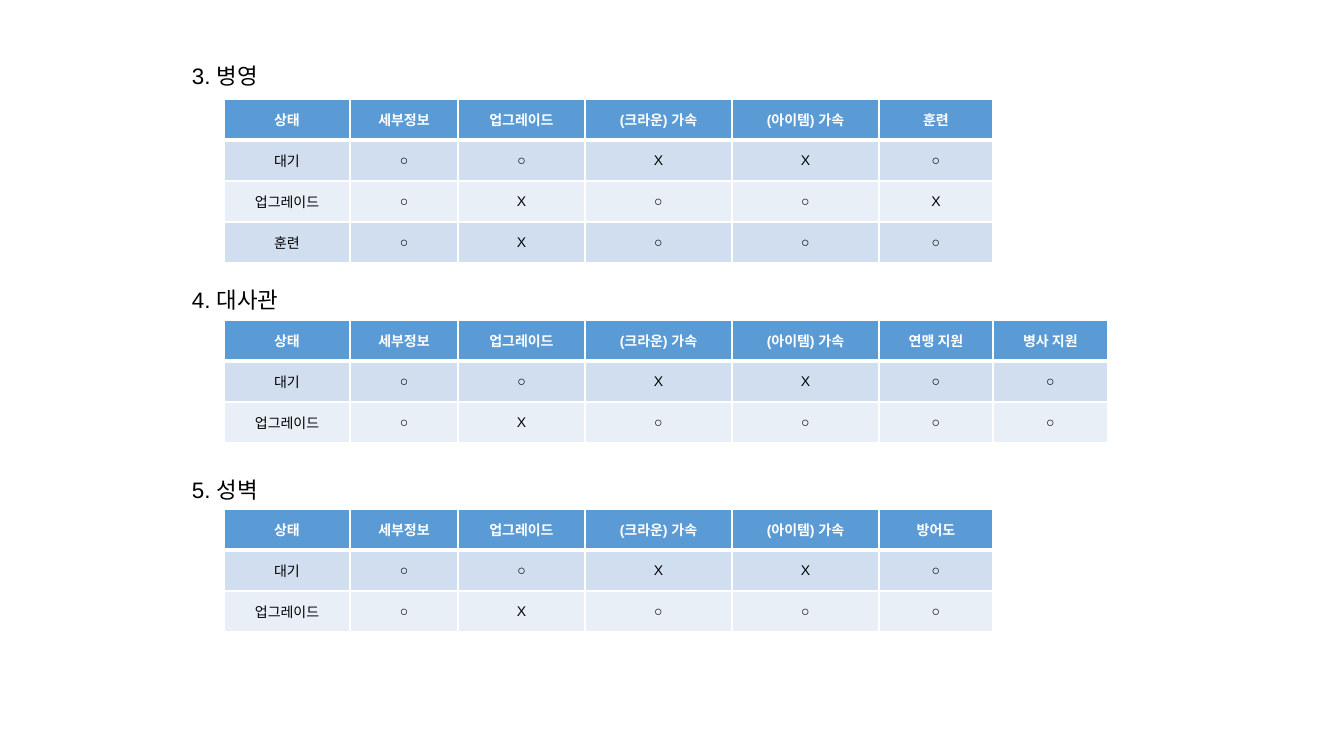
from lxml.etree import SubElement as Sub
from pptx import Presentation
from pptx.dml.color import RGBColor
from pptx.enum.text import MSO_ANCHOR as Anchor, PP_ALIGN as Align
from pptx.oxml.ns import qn
from pptx.util import Pt

UNIT = 914400 / 100.8


def px(n):
    return round(n * UNIT)


def paint(color):
    return RGBColor.from_string(color)


deck = Presentation()
deck.slide_width, deck.slide_height = px(1344), px(756)
slide = deck.slides.add_slide(deck.slide_layouts[6])

WIDTHS = [126, 108, 127, 147, 147, 114, 115]
ROW = 41
HEADS = ["상태", "세부정보", "업그레이드", "(크라운) 가속", "(아이템) 가속"]
FILLS = ["5B9BD5", "D0DEEF", "E9EFF7", "D0DEEF"]
PARTS = [
    ("3. 병영", 44, 142, 99, ["훈련"],
     [("대기", "○○XX○"), ("업그레이드", "○X○○X"), ("훈련", "○X○○○")]),
    ("4. 대사관", 268, 164, 320, ["연맹 지원", "병사 지원"],
     [("대기", "○○XX○○"), ("업그레이드", "○X○○○○")]),
    ("5. 성벽", 458, 142, 509, ["방어도"],
     [("대기", "○○XX○"), ("업그레이드", "○X○○○")]),
]

for title, top, width, start, extra, states in PARTS:
    box = slide.shapes.add_textbox(px(132), px(top), px(width), px(50))
    para = box.text_frame.paragraphs[0]
    para.text = title
    para.level = 1
    para.line_spacing = 1.5
    props = para._p.get_or_add_pPr()
    props.set("marL", str(px(50)))
    props.set("indent", "0")
    para.font.name = "Arial"
    para.font.size = Pt(16)
    para.font.color.rgb = paint("000000")

    rows = [HEADS + extra] + [[state, *marks] for state, marks in states]
    cols = WIDTHS[:len(rows[0])]
    frame = slide.shapes.add_table(len(rows), len(cols), px(224), px(start),
                                   px(sum(cols)), px(ROW * len(rows)))
    table = frame.table
    for col, wide in zip(table.columns, cols):
        col.width = px(wide)
    for r, texts in enumerate(rows):
        table.rows[r].height = px(ROW)
        for c, text in enumerate(texts):
            cell = table.cell(r, c)
            cell.vertical_anchor = Anchor.MIDDLE
            cell.margin_left = cell.margin_right = px(13)
            cell.margin_top = cell.margin_bottom = px(5)
            for side in "LRTB":
                thick = (r, side) in [(0, "B"), (1, "T")]
                line = Sub(cell._tc.get_or_add_tcPr(), qn("a:ln" + side),
                           w=str(Pt(3 if thick else 1)))
                Sub(Sub(line, qn("a:solidFill")), qn("a:srgbClr"), val="FFFFFF")
            cell.fill.solid()
            cell.fill.fore_color.rgb = paint(FILLS[r])
            para = cell.text_frame.paragraphs[0]
            para.text = text
            para.alignment = Align.CENTER
            para.font.name = "Arial"
            para.font.size = Pt(10)
            para.font.bold = r == 0
            para.font.color.rgb = paint("000000" if r else "FFFFFF")

deck.save("out.pptx")
